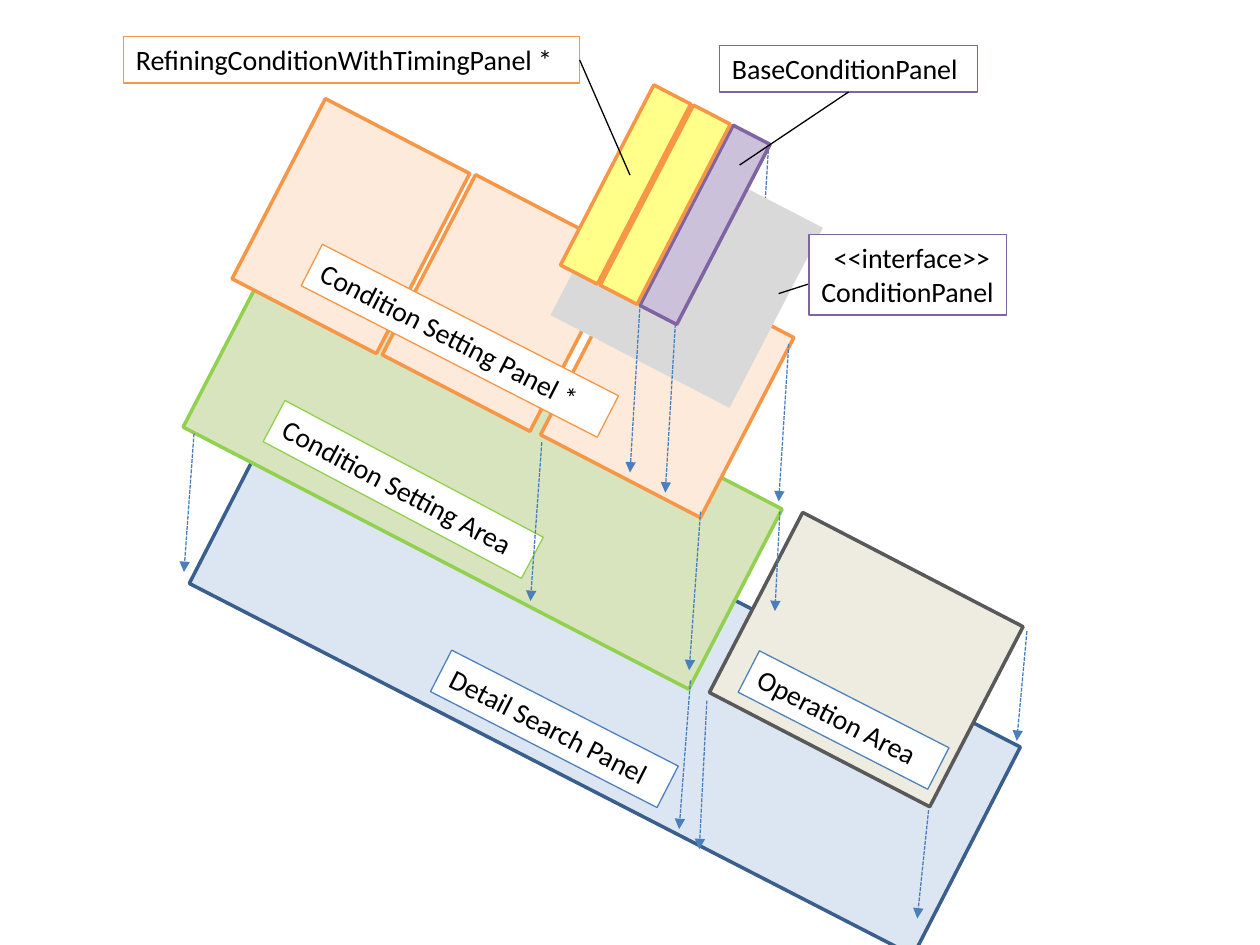
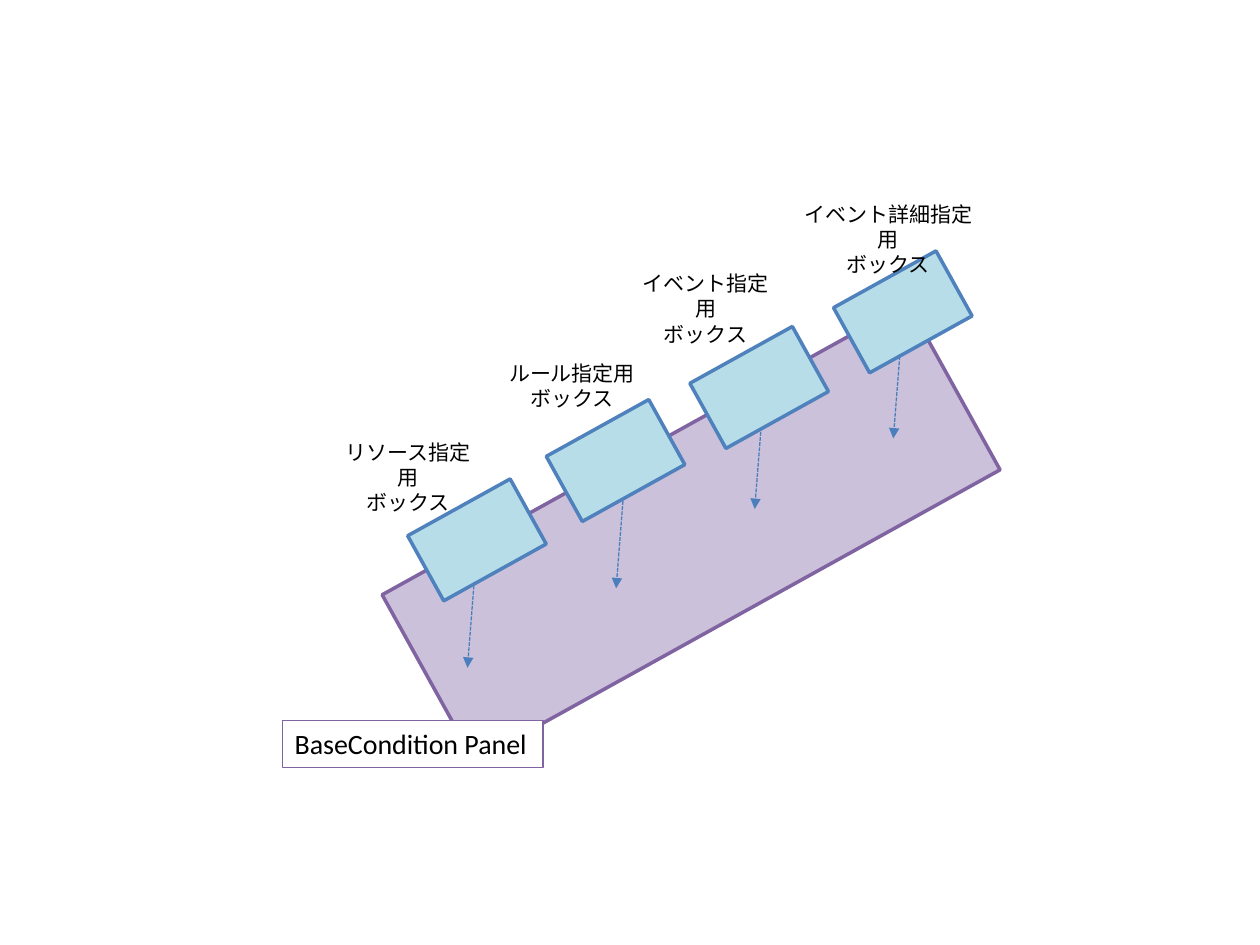
from lxml import etree
from pptx import Presentation
from pptx.dml.color import RGBColor
from pptx.enum.shapes import MSO_CONNECTOR, MSO_SHAPE
from pptx.enum.text import MSO_ANCHOR, PP_ALIGN
from pptx.oxml.ns import qn
from pptx.util import Inches, Pt

STRAIGHT = MSO_CONNECTOR.STRAIGHT
RECT, PROCESS = MSO_SHAPE.RECTANGLE, MSO_SHAPE.FLOWCHART_PROCESS
LEFT, CENTER = PP_ALIGN.LEFT, PP_ALIGN.CENTER
TOP = MSO_ANCHOR.TOP
BOTTOM_SIDE, RIGHT_SIDE = 2, 3

COLORS = {
    "white": "FFFFFF", "black": "000000", "arrow": "4B7EBC",
    "pale blue": "DCE6F2", "navy": "3A5F8C", "blue": "4F81BD",
    "pale green": "D7E4BD", "green": "92D050",
    "cream": "EEECE1", "dark gray": "595959", "gray": "D9D9D9",
    "peach": "FDEADA", "orange": "F79646", "yellow": "FFFF89",
    "lilac": "CCC1DA", "purple": "8064A2", "aqua": "B7DEE8",
}
FONT = "Calibri"
TILT = 27.4         # lean of the stacked panels, degrees
LABEL_TILT = 27.1   # lean of the labels on them
BAR_TILT = 61
ROW_H = 0.37        # height of a one-line label
PANEL_H = 1.61

prs = Presentation()
prs.slide_width, prs.slide_height = Inches(10), Inches(7.5)
COL, ROW = prs.slide_width / 10, prs.slide_height / 7.5   # grid of 10 x 7.5


def add_box(s, x, y, w, h, fill=None, line=None, weight=0.75, tilt=0,
            lines=(), size=16, align=LEFT, kind=RECT):
    sp = s.shapes.add_shape(kind, int(x * COL), int(y * ROW), int(w * COL), int(h * ROW))
    sp.shadow.inherit = False
    sp.rotation = tilt
    if fill:
        sp.fill.solid()
        sp.fill.fore_color.rgb = RGBColor.from_string(COLORS[fill])
    else:
        sp.fill.background()
    if line:
        sp.line.color.rgb = RGBColor.from_string(COLORS[line])
        sp.line.width = Pt(weight)
    else:
        sp.line.fill.background()
    tf = sp.text_frame
    tf.word_wrap = True
    tf.vertical_anchor = TOP
    for i, text in enumerate(lines):
        p = tf.add_paragraph() if i else tf.paragraphs[0]
        p.text = text
        p.alignment = align
        p.font.name, p.font.size = FONT, Pt(size)
        p.font.color.rgb = RGBColor.from_string(COLORS["black"])
    return sp


def add_line(s, x1, y1, x2, y2, arrow=True):
    ln = s.shapes.add_connector(STRAIGHT, int(x1 * COL), int(y1 * ROW),
                                int(x2 * COL), int(y2 * ROW))
    ln.line.color.rgb = RGBColor.from_string(COLORS["arrow" if arrow else "black"])
    ln.line.width = Pt(0.75)
    if arrow:
        xml = ln.line._get_or_add_ln()
        etree.SubElement(xml, qn("a:prstDash"), val="sysDash")
        etree.SubElement(xml, qn("a:tailEnd"), type="triangle")
    etree.SubElement(ln._element.spPr, qn("a:effectLst"))
    return ln


# Slide 1: stacked panels of the search screen
s = prs.slides.add_slide(prs.slide_layouts[6])
add_line(s, 6.1, 1.15, 6.02, 2.49)

for x, y, w, h, fill, line, tilt in [
    (1.57, 4.35, 6.46, 1.86, "pale blue", "navy", 27.2),
    (1.57, 2.91, 4.52, PANEL_H, "pale green", "green", TILT),
    (5.89, 4.43, 1.97, PANEL_H, "cream", "dark gray", TILT),
    (2.14, 0.99, 1.29, PANEL_H, "peach", "orange", TILT),
    (3.33, 1.6, 1.32, PANEL_H, "peach", "orange", TILT),
    (4.58, 2.26, 1.43, PANEL_H, "peach", "orange", TILT),
]:
    add_box(s, x, y, w, h, fill, line, 2, tilt, kind=PROCESS)

# Drop arrows between the layers
for ends in [
    (6.26, 2.73, 6.18, 3.98), (5.56, 4.06, 5.47, 5.32), (8.15, 5.01, 8.07, 5.88),
    (7.37, 6.43, 7.28, 7.29), (5.79, 1.07, 5.71, 2.41), (5.48, 5.4, 5.39, 6.58),
    (1.54, 3.44, 1.46, 4.54), (6.19, 4.06, 6.15, 4.85), (5.61, 5.56, 5.55, 6.74),
]:
    add_line(s, *ends)

# Tilted panel labels
for x, y, w, line, tilt, text in [
    (3.39, 5.6, 2.02, "blue", LABEL_TILT, "Detail Search Panel"),
    (2.04, 3.7, 2.32, "green", 27.9, "Condition Setting Area"),
    (5.85, 5.53, 1.69, "blue", LABEL_TILT, "Operation Area"),
    (2.33, 2.52, 2.64, "orange", LABEL_TILT, "Condition Setting Panel *"),
]:
    add_box(s, x, y, w, ROW_H, "white", line, tilt=tilt, lines=[text])
add_line(s, 4.3, 3.51, 4.21, 4.77)

# Callouts and the strips of the top panel
base = add_box(s, 5.71, 0.36, 2.05, ROW_H, "white", "purple", lines=["BaseConditionPanel"])
refining = add_box(s, 0.98, 0.29, 3.62, ROW_H, "white", "orange",
                   lines=["RefiningConditionWithTimingPanel *"])
add_box(s, 4.65, 1.35, 1.6, PANEL_H, "gray", tilt=TILT, kind=PROCESS)
for i, (fill, line) in enumerate([("lilac", "purple"), ("yellow", "orange"),
                                  ("yellow", "orange")]):
    add_box(s, 5.43 - 0.315 * i, 0.98 - 0.16 * i, 0.33, PANEL_H,
            fill, line, 2, TILT, kind=PROCESS)

add_line(s, 4.6, 0.47, 5, 1.39, arrow=False).begin_connect(refining, RIGHT_SIDE)
add_line(s, 6.73, 0.73, 5.87, 1.31, arrow=False).begin_connect(base, BOTTOM_SIDE)
add_line(s, 6.65, 2.18, 6.18, 2.33, arrow=False)
sp = add_box(s, 6.42, 1.86, 1.57, 0.64, "white", "purple",
             lines=["<<interface>>", "ConditionPanel"])
pPr = sp.text_frame.paragraphs[0]._p.get_or_add_pPr()
pPr.set("indent", str(Inches(0.1)))

for ends in [(5.08, 2.41, 5, 3.75), (5.36, 2.57, 5.28, 3.91)]:
    add_line(s, *ends)

# Slide 2: boxes on the base condition panel
s = prs.slides.add_slide(prs.slide_layouts[6])
add_box(s, 4.73, 1.84, 1.51, 4.77, "lilac", "purple", 2, BAR_TILT, kind=PROCESS)

for x, y in [(7.17, 2.46), (6.07, 3.02), (4.97, 3.65), (3.79, 4.28)]:
    add_line(s, x, y, x - 0.08, y + 1.02)

for x, y in [(6.87, 2.01), (5.73, 2.61), (4.59, 3.19), (3.49, 3.82)]:
    add_box(s, x, y, 0.59, 0.93, "aqua", "blue", 2, BAR_TILT, kind=PROCESS)

add_box(s, 2.24, 5.72, 2.07, ROW_H, "white", "purple", lines=["BaseCondition Panel"])

for x, y, w, name in [
    (2.6, 3.44, 1.28, "リソース指定用"),
    (3.93, 2.81, 1.22, "ルール指定用"),
    (4.97, 2.1, 1.26, "イベント指定用"),
    (6.25, 1.55, 1.6, "イベント詳細指定用"),
]:
    add_box(s, x, y, w, 0.5, lines=[name, "ボックス"], size=12, align=CENTER)

prs.save("out.pptx")
